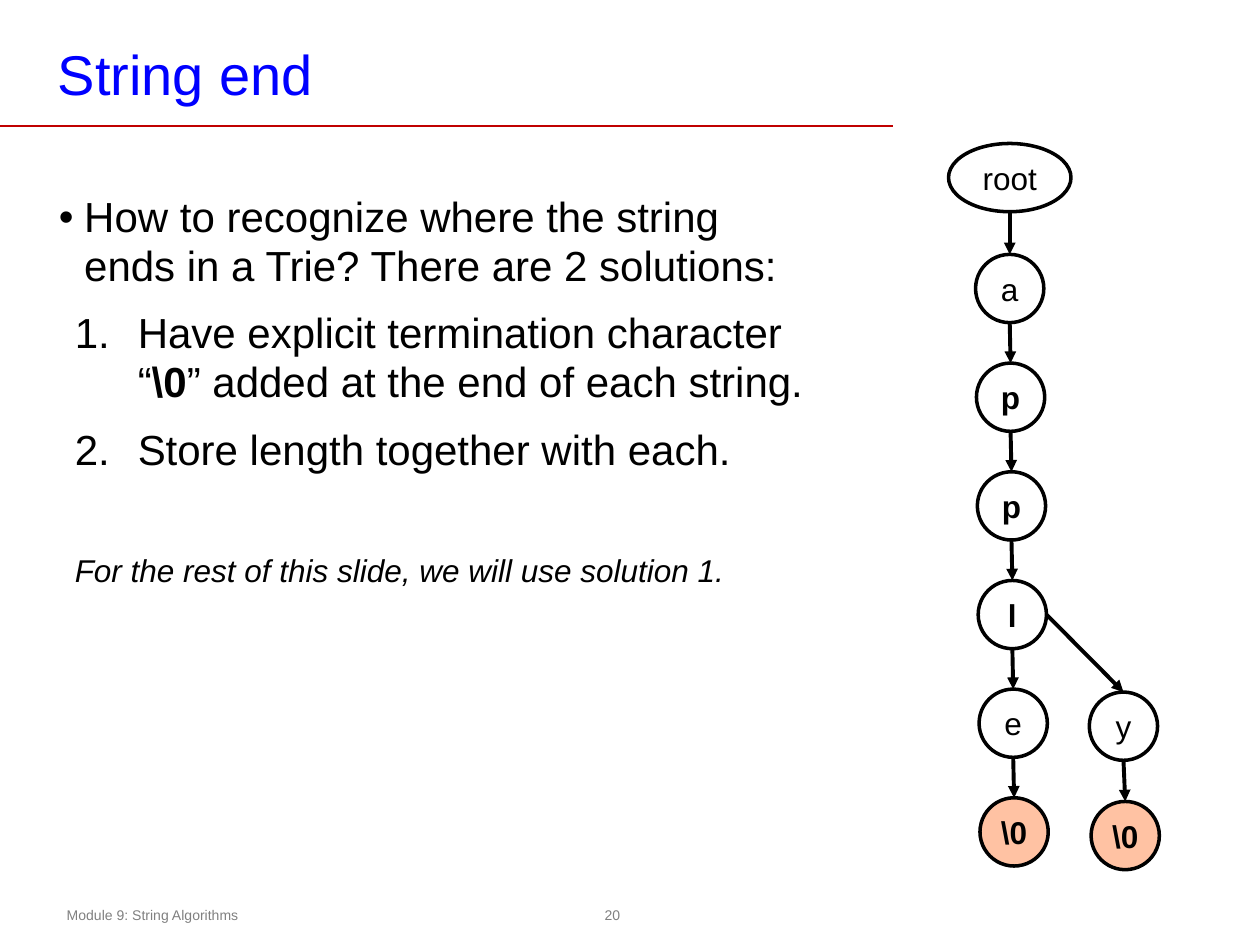
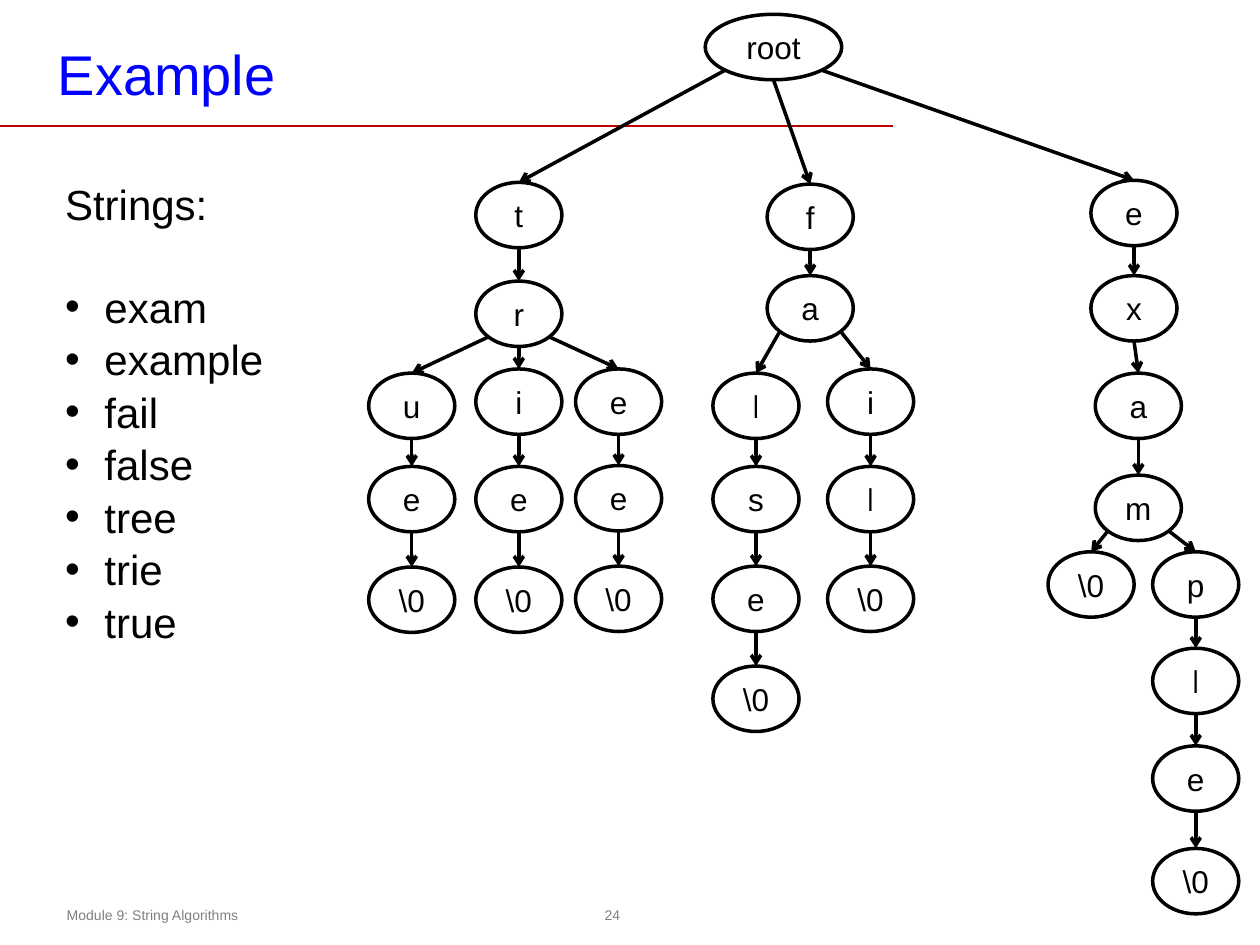
import math

import pptx
import pptx.dml.color
import pptx.enum.shapes
import pptx.enum.text
import pptx.oxml.ns
import pptx.util
from lxml import etree

Pt = pptx.util.Pt
qn = pptx.oxml.ns.qn
ALIGN = pptx.enum.text.PP_ALIGN
MIDDLE = pptx.enum.text.MSO_ANCHOR.MIDDLE
TOP = pptx.enum.text.MSO_ANCHOR.TOP

COLORS = {"title": "0000FF", "rule": "C00000", "footer": "808080",
          "ink": "000000", "node": "FFFFFF", "end": "FFC2A3"}
FONT = "Arial"
FOOTER = "Module 9: String Algorithms"
END = "\\0"


def rgb(name):
    return pptx.dml.color.RGBColor.from_string(COLORS[name])


class Deck:
    """Holds the shared style and the slide being built."""

    def __init__(self):
        self.prs = pptx.Presentation()
        self.prs.slide_width, self.prs.slide_height = Pt(720), Pt(540)
        self.slide = None

    def style(self, paragraph, size, color="ink", font=FONT):
        for run in paragraph.runs:
            run.font.name, run.font.size = font, Pt(size)
            run.font.color.rgb = rgb(color)

    def place(self, shape, left, top, width, height):
        shape.left, shape.top = Pt(left), Pt(top)
        shape.width, shape.height = Pt(width), Pt(height)

    def frame(self, shape, anchor, inset_x, inset_y, wrap=True):
        frame = shape.text_frame
        frame.auto_size = pptx.enum.text.MSO_AUTO_SIZE.NONE
        frame.word_wrap, frame.vertical_anchor = wrap, anchor
        frame.margin_left = frame.margin_right = Pt(inset_x)
        frame.margin_top = frame.margin_bottom = Pt(inset_y)
        return frame

    def new_slide(self, title, number):
        self.slide = self.prs.slides.add_slide(self.prs.slide_layouts[1])
        self.line((0, 72), (510.5, 72), 1, "rule")
        self.label(FOOTER, 31, 514, 300, 17.5, ALIGN.LEFT)
        self.label(str(number), 332, 514, 36, 18, ALIGN.CENTER)
        heading = self.slide.shapes.title
        self.place(heading, 28, 20, 534, 43.5)
        frame = self.frame(heading, MIDDLE, 5, 2.5)
        frame.text = title
        frame.paragraphs[0].alignment = ALIGN.LEFT
        self.style(frame.paragraphs[0], 32, "title")

    def label(self, text, left, top, width, height, align):
        box = self.slide.shapes.add_textbox(Pt(left), Pt(top), Pt(width), Pt(height))
        frame = self.frame(box, MIDDLE, 7.2, 3.6)
        frame.text = text
        frame.paragraphs[0].alignment = align
        self.style(frame.paragraphs[0], 8, "footer")

    def body(self, left, top, width, height):
        holder = self.slide.placeholders[1]
        self.place(holder, left, top, width, height)
        return self.frame(holder, TOP, 7.2, 3.6)

    def item(self, frame, text, bullet=None, indent=0, hang=0, before=0,
             size=24, spacing=1.0, italic=False):
        """Add a paragraph; text between ** marks is bold."""
        first = frame.paragraphs[0]
        paragraph = frame.add_paragraph() if first.runs else first
        for i, piece in enumerate(text.split("**")):
            run = paragraph.add_run()
            run.text = piece
            run.font.bold, run.font.italic = i % 2 == 1, italic
        self.style(paragraph, size)
        paragraph.line_spacing = spacing
        paragraph.space_before, paragraph.space_after = Pt(before), Pt(0)
        props = paragraph._p.get_or_add_pPr()
        props.set("marL", str(Pt(indent)))
        props.set("indent", str(Pt(-hang)))
        if bullet == "1.":
            etree.SubElement(props, qn("a:buAutoNum"), type="arabicPeriod")
        elif bullet:
            etree.SubElement(props, qn("a:buChar"), char=bullet)
        else:
            etree.SubElement(props, qn("a:buNone"))

    def line(self, start, end, weight, color="ink", head=None):
        link = self.slide.shapes.add_connector(
            pptx.enum.shapes.MSO_CONNECTOR.STRAIGHT, *map(Pt, start + end))
        link.line.width = Pt(weight)
        link.line.color.rgb = rgb(color)
        if head:
            etree.SubElement(link.line._get_or_add_ln(), qn("a:tailEnd"), type=head)
        etree.SubElement(link._element.spPr, qn("a:effectLst"))
        return link

    def node(self, letter, center, top, width, height, bold=False,
             fill="node", font=FONT):
        oval = self.slide.shapes.add_shape(
            pptx.enum.shapes.MSO_SHAPE.OVAL,
            Pt(center - width / 2), Pt(top), Pt(width), Pt(height))
        oval.shadow.inherit = False
        oval.fill.solid()
        oval.fill.fore_color.rgb = rgb(fill)
        oval.line.color.rgb, oval.line.width = rgb("ink"), Pt(2)
        frame = self.frame(oval, MIDDLE, 3, 3, wrap=False)
        frame.text = letter
        frame.paragraphs[0].alignment = ALIGN.CENTER
        self.style(frame.paragraphs[0], 18, font=font)
        frame.paragraphs[0].runs[0].font.bold = bold
        return oval

    def edge(self, parent, child, angle=90, weight=2, head="arrow"):
        """Leave the parent at an angle below the horizontal, reach the child's top."""
        turn = math.radians(angle)
        start = ((parent.left + parent.width / 2 * (1 + math.cos(turn))) / Pt(1),
                 (parent.top + parent.height / 2 * (1 + math.sin(turn))) / Pt(1))
        end = ((child.left + child.width / 2) / Pt(1), child.top / Pt(1))
        self.line(start, end, weight, head=head).end_connect(child, 0)


def string_end(deck):
    deck.new_slide("String end", 20)

    # Two solutions
    body = deck.body(26.5, 107, 446, 395)
    deck.item(body, "How to recognize where the string ends in a Trie? "
              "There are 2 solutions:", "•", 14.4, 14.4, spacing=0.97)
    for solution in (f"Have explicit termination character “**{END}**” "
                     "added at the end of each string.",
                     "Store length together with each."):
        deck.item(body, solution, "1.", 45, 36, before=10.5, spacing=0.97)
    deck.item(body, "For the rest of this slide, we will use solution 1.",
              indent=9, before=45, size=18, spacing=0.97, italic=True)

    # Trie of "apple" and "apply"
    size, first_top, step = 39, 145.4, 62.1

    def letter_node(letter, center, top):
        return deck.node(letter, center, top, size, size, letter in ("p", "l", END),
                         "end" if letter == END else "node")

    def link(parent, child, angle=90):
        deck.edge(parent, child, angle, 2.25, "triangle")

    parent = deck.node("root", 577, 82, 70, size)
    for i, letter in enumerate(["a", "p", "p", "l", "e", END]):
        child = letter_node(letter, 577 + i / 2, first_top + i * step)
        link(parent, child)
        if letter == "l":
            fork = child
        parent = child
    last_y = letter_node("y", 642, 395.5)
    link(fork, last_y, angle=0)
    link(last_y, letter_node(END, 643, 458))


def example(deck):
    deck.new_slide("Example", 24)

    # Strings stored
    body = deck.body(30, 98.3, 130, 267)
    deck.item(body, "Strings:")
    for i, word in enumerate(["exam", "example", "fail", "false",
                              "tree", "trie", "true"]):
        deck.item(body, word, "•", 22.5, 22.5, before=1.2 if i else 30)

    # Trie branches: prefix they hang from, centre, letters with their tops
    branches = [
        ("", 296.5, [("t", 104.2), ("r", 160.6)]),
        ("tr", 235.3, [("u", 213.2), ("e", 266.5), (END, 324)]),
        ("tr", 296.5, [("i", 210.8), ("e", 266.5), (END, 324)]),
        ("tr", 353.5, [("e", 210.8), ("e", 266), (END, 323.5)]),
        ("", 463, [("f", 105.2), ("a", 157.5)]),
        ("fa", 432, [("l", 213.2), ("s", 266.5), ("e", 323.5), (END, 380.6)]),
        ("fa", 497.5, [("i", 210.8), ("l", 266.5), (END, 323.5)]),
        ("", 648, [("e", 103), ("x", 157.5)]),
        ("ex", 650.5, [("a", 213.2), ("m", 271.5)]),
        ("exam", 623.5, [(END, 315.3)]),
        ("exam", 683.3, [("p", 315.3), ("l", 370.4), ("e", 426.2), (END, 484.8)]),
    ]
    nodes = {"": deck.node("root", 442, 8.2, 78, 37.4)}
    for prefix, center, letters in branches:
        for letter, top in letters:
            parent = nodes[prefix]
            prefix += letter
            nodes[prefix] = deck.node(
                letter, center, top, 49.2, 37.4,
                font="Arial Narrow" if letter == "l" else FONT)
            shift = center - (parent.left + parent.width / 2) / Pt(1)
            angle = 90 if abs(shift) < 25 else 45 if shift > 0 else 135
            deck.edge(parent, nodes[prefix], angle)


def main():
    deck = Deck()
    string_end(deck)
    example(deck)
    deck.prs.save("out.pptx")


if __name__ == "__main__":
    main()
